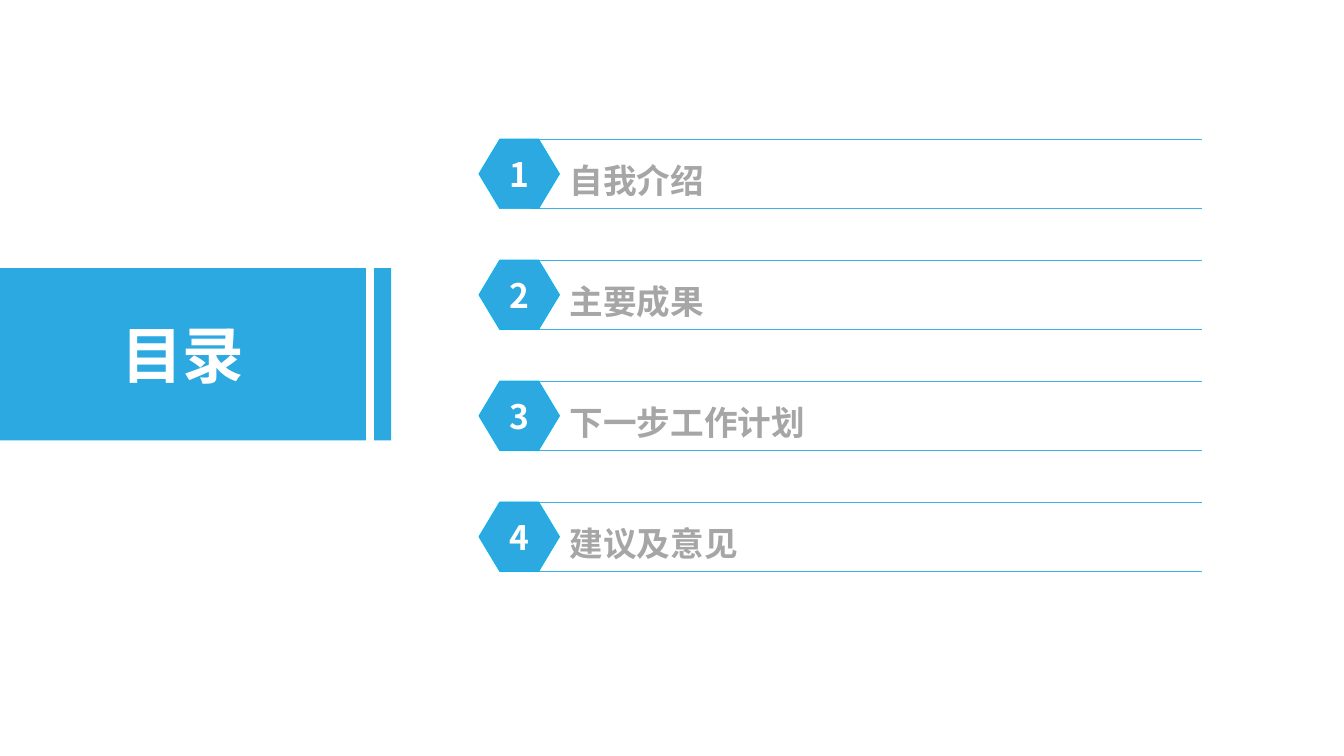
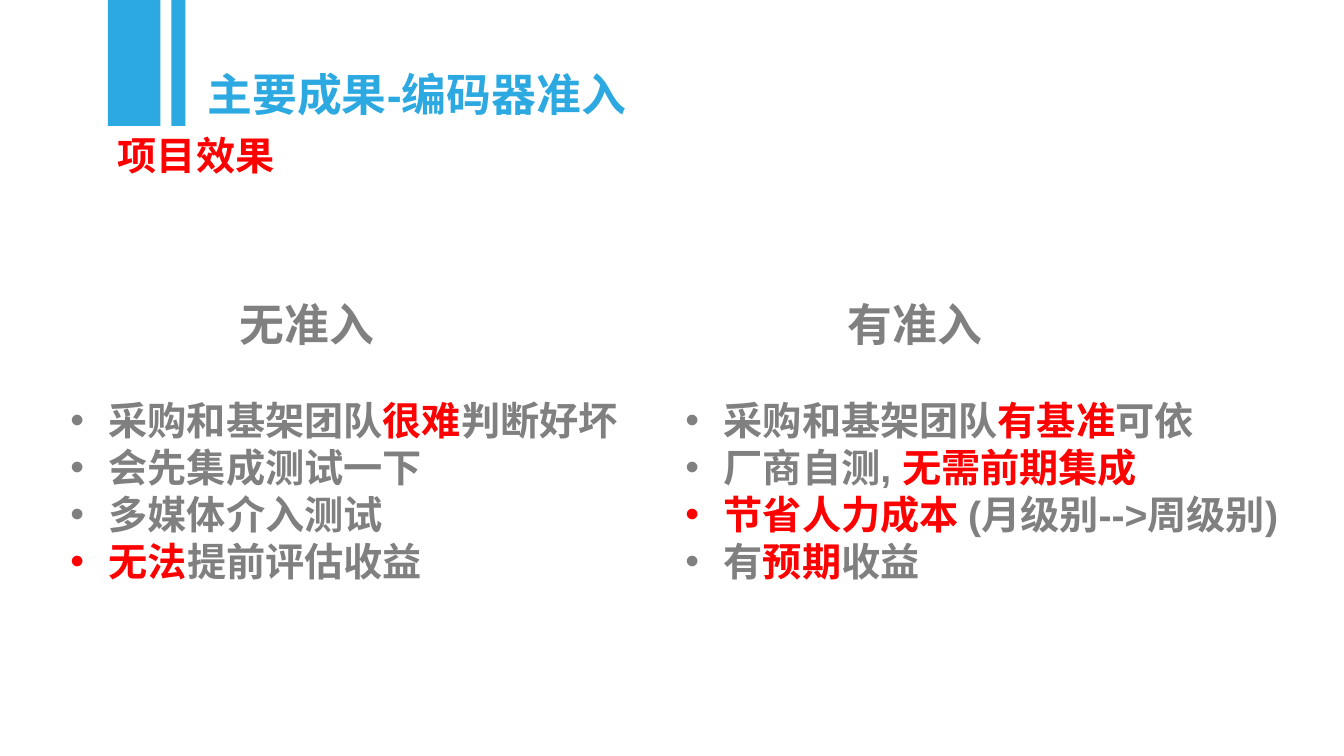
from dataclasses import dataclass

from lxml.etree import SubElement
from pptx import Presentation
from pptx.dml.color import RGBColor
from pptx.enum.shapes import MSO_SHAPE
from pptx.enum.text import MSO_ANCHOR, PP_ALIGN
from pptx.oxml.ns import qn
from pptx.util import Inches, Pt

BLUE = RGBColor(0x2D, 0xA9, 0xE1)
HEXAGON_EDGE = RGBColor(0x08, 0xB3, 0xEB)
RULE_BLUE = RGBColor(0x3B, 0xB3, 0xE5)
WHITE = RGBColor(0xFF, 0xFF, 0xFF)
LIGHT_GREY = RGBColor(0xA6, 0xA6, 0xA6)
GREY = RGBColor(0x80, 0x80, 0x80)
RED = RGBColor(0xFF, 0x00, 0x00)

CJK_FONT = "Noto Sans CJK SC"
LATIN_FONT = "Arial"
ASIAN_FONT = "Lato"

# Contents rows
ROW_TOP, ROW_PITCH, ROW_HEIGHT = 1.38, 1.2, 0.69
RULE_LEFT, RULE_RIGHT = 5.27, 11.92
CONTENTS = ["自我介绍", "主要成果", "下一步工作计划", "建议及意见"]


@dataclass
class Column:
    left: float
    width: float
    heading: str
    heading_indent: float
    bullets: list[str]  # words between asterisks are red


COLUMNS = [
    Column(0.6, 5.94, "无准入", 1.68,
           ["采购和基架团队*很难*判断好坏", "会先集成测试一下",
            "多媒体介入测试", "*无法*提前评估收益"]),
    Column(6.7, 6.13, "有准入", 1.61,
           ["采购和基架团队*有基准*可依", "厂商自测, *无需前期集成*",
            "*节省人力成本 *(月级别-->周级别)", "有*预期*收益"]),
]


def style_span(span, size: float, color: RGBColor,
               latin: str = LATIN_FONT, asian: str = ASIAN_FONT) -> None:
    span.font.size = Pt(size)
    span.font.bold = True
    span.font.color.rgb = color
    span.font.name = latin
    SubElement(span.font._element, qn("a:ea")).set("typeface", asian)


def add_blue_shape(page, kind, left: float, top: float,
                   width: float, height: float):
    shape = page.shapes.add_shape(
        kind, Inches(left), Inches(top), Inches(width), Inches(height))
    shape.shadow.inherit = False
    shape.fill.solid()
    shape.fill.fore_color.rgb = BLUE
    shape.line.fill.background()
    return shape


def set_margins(frame, left: float = 0) -> None:
    frame.margin_left = Inches(left)
    frame.margin_top = frame.margin_right = frame.margin_bottom = 0


def set_centred_text(shape, text: str, size: float) -> None:
    frame = shape.text_frame
    frame.text = text
    frame.vertical_anchor = MSO_ANCHOR.MIDDLE
    para = frame.paragraphs[0]
    para.alignment = PP_ALIGN.CENTER
    style_span(para.runs[0], size, WHITE, CJK_FONT, CJK_FONT)


def add_text_box(page, left: float, top: float, width: float, height: float,
                 text: str, size: float, color: RGBColor):
    box = page.shapes.add_textbox(
        Inches(left), Inches(top), Inches(width), Inches(height))
    frame = box.text_frame
    frame.word_wrap = True
    frame.text = text
    style_span(frame.paragraphs[0].runs[0], size, color)
    return frame


def add_contents_row(page, number: int, text: str) -> None:
    top = ROW_TOP + (number - 1) * ROW_PITCH
    bottom = top + ROW_HEIGHT

    # Outline open on the right
    builder = page.shapes.build_freeform(Inches(RULE_RIGHT), Inches(bottom))
    builder.add_line_segments(
        [(Inches(RULE_LEFT), Inches(bottom)), (Inches(RULE_LEFT), Inches(top)),
         (Inches(RULE_RIGHT), Inches(top))], close=False)
    outline = builder.convert_to_shape()
    outline.shadow.inherit = False
    outline.fill.background()
    outline.line.color.rgb = RULE_BLUE
    outline.line.width = Pt(0.25)
    frame = outline.text_frame
    frame.text = text
    frame.vertical_anchor = MSO_ANCHOR.MIDDLE
    set_margins(frame, 0.38)
    para = frame.paragraphs[0]
    para.alignment = PP_ALIGN.LEFT
    para.line_spacing = 1.3
    style_span(para.runs[0], 24, LIGHT_GREY, ASIAN_FONT)

    # Numbered hexagon
    hexagon = add_blue_shape(page, MSO_SHAPE.HEXAGON, 4.75, top, 0.8, ROW_HEIGHT)
    hexagon.adjustments[0] = 0.3
    hexagon.line.color.rgb = HEXAGON_EDGE
    hexagon.line.width = Pt(0.5)
    set_margins(hexagon.text_frame)
    set_centred_text(hexagon, str(number), 24)


def add_bullet(frame, marked_text: str) -> None:
    para = frame.add_paragraph()
    properties = para._p.get_or_add_pPr()
    properties.set("marL", str(Inches(0.38)))
    properties.set("indent", str(-Inches(0.38)))
    SubElement(properties, qn("a:buFont")).set("typeface", LATIN_FONT)
    SubElement(properties, qn("a:buChar")).set("char", "•")
    for index, part in enumerate(marked_text.split("*")):
        if part:
            span = para.add_run()
            span.text = part
            style_span(span, 28, RED if index % 2 else GREY)


def add_column(page, column: Column) -> None:
    frame = add_text_box(page, column.left, 2.89, column.width, 3,
                         column.heading, 32, GREY)
    heading = frame.paragraphs[0]
    heading._p.get_or_add_pPr().set("marL", str(Inches(column.heading_indent)))
    heading.space_after = Pt(33)
    for bullet in column.bullets:
        add_bullet(frame, bullet)


def build_contents(page) -> None:
    banner = add_blue_shape(page, MSO_SHAPE.RECTANGLE, 0, 2.66, 3.63, 1.71)
    set_centred_text(banner, "目录", 44)
    add_blue_shape(page, MSO_SHAPE.RECTANGLE, 3.71, 2.66, 0.17, 1.71)
    for number, text in enumerate(CONTENTS, start=1):
        add_contents_row(page, number, text)


def build_results(page) -> None:
    # Title with its two bars
    for left, width in ((1.07, 0.52), (1.7, 0.14)):
        add_blue_shape(page, MSO_SHAPE.RECTANGLE, left, 0, width, 1.25)
    add_text_box(page, 1.96, 0.61, 9.48, 0.64, "主要成果-编码器准入", 32, BLUE)
    add_text_box(page, 1.07, 1.25, 5.48, 1.04, "项目效果", 28, RED)

    # Comparison
    for column in COLUMNS:
        add_column(page, column)


def main() -> None:
    deck = Presentation()
    deck.slide_width = Inches(13.33)
    deck.slide_height = Inches(7.5)
    for build in (build_contents, build_results):
        build(deck.slides.add_slide(deck.slide_layouts[6]))
    deck.save("out.pptx")


if __name__ == "__main__":
    main()
